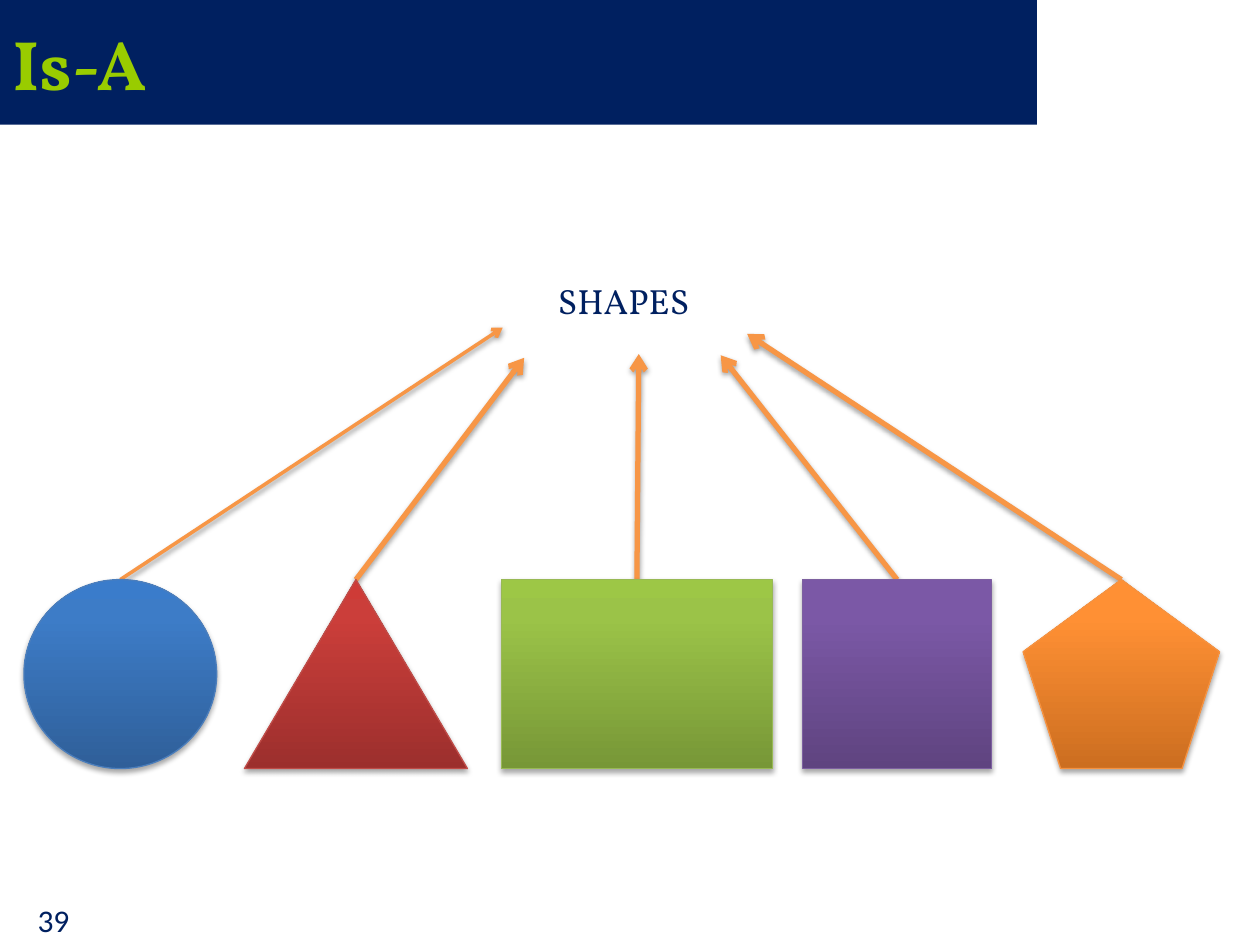
from pptx import Presentation
from pptx.dml.color import RGBColor
from pptx.enum.shapes import MSO_CONNECTOR, MSO_SHAPE as Kind
from pptx.enum.text import MSO_ANCHOR, PP_ALIGN
from pptx.oxml import parse_xml
from pptx.oxml.ns import nsdecls
from pptx.util import Inches, Pt

NAVY, LIME, ORANGE = "002060", "99CC00", "F79646"
SERIF, SANS = "Vollkorn", "Calibri"
TOP, HIGH = 4.6, 1.5

# kind, left, width, line colour, gradient from bottom to top
SHAPES = [
    (Kind.OVAL, 0.19, 1.53, "4B7EBC", ("2F5F99", "3D7CC7", "3A7CCB")),
    (Kind.ISOSCELES_TRIANGLE, 1.94, 1.77, "BF4C48", ("9C2F2D", "CB3E3A", "CE3B37")),
    (Kind.RECTANGLE, 3.98, 2.15, "98B955", ("779737", "9BC348", "9DC746")),
    (Kind.RECTANGLE, 6.37, 1.5, "7D60A0", ("5F4480", "7B58A6", "7C57A8")),
    (Kind.REGULAR_PENTAGON, 8.12, 1.56, "F69240", ("CC6E20", "FF9034", "FF9136")),
]
STOPS = (0, 80, 100)
# arrow tip x, tip y, line width; each arrow rises from the shape below it
TIPS = [(3.99, 2.6, 2), (4.16, 2.84, 3), (5.07, 2.81, 3), (5.72, 2.82, 3), (5.93, 2.65, 3)]


def rgb(code):
    return RGBColor.from_string(code)


def xml(tag, attrs="", inner=""):
    return parse_xml(f"<a:{tag} {nsdecls('a')} {attrs}>{inner}</a:{tag}>")


def shade(props, dist, alpha):
    """Add a soft shadow that falls straight down."""
    props.append(xml("effectLst", inner=(
        f'<a:outerShdw blurRad="{Pt(3.1)}" dist="{Pt(dist)}" dir="5400000" rotWithShape="0">'
        f'<a:srgbClr val="000000"><a:alpha val="{alpha * 1000}"/></a:srgbClr></a:outerShdw>')))


def write(shape, text, size, font, color, bold=False):
    para = shape.text_frame.paragraphs[0]
    para.text = text
    para.alignment = PP_ALIGN.LEFT
    para.font.size, para.font.name, para.font.bold = Pt(size), font, bold
    para.font.color.rgb = rgb(color)


def label(slide, box, wrap, *style):
    shape = slide.shapes.add_textbox(*map(Inches, box))
    shape.text_frame.word_wrap = wrap
    write(shape, *style)


def add_title(slide):
    title = slide.shapes.title
    title.left, title.top, title.width, title.height = map(Inches, (0, 0, 8.23, 0.99))
    title.fill.solid()
    title.fill.fore_color.rgb = rgb(NAVY)
    title.text_frame.vertical_anchor = MSO_ANCHOR.MIDDLE
    write(title, "Is-A", 40, SERIF, LIME, True)


def add_arrow(group, start, tip, width):
    line = group.shapes.add_connector(MSO_CONNECTOR.STRAIGHT, *map(Inches, start + tip))
    line.line.color.rgb = rgb(ORANGE)
    line.line.width = Pt(width)
    props = line._element.spPr
    props.ln.append(xml("tailEnd", 'type="arrow"'))
    shade(props, 1.6, 38)


def add_figure(slide, kind, left, width, edge, colors):
    shape = slide.shapes.add_shape(kind, *map(Inches, (left, TOP, width, HIGH)))
    stops = "".join(f'<a:gs pos="{pos * 1000}"><a:srgbClr val="{color}"/></a:gs>'
                    for pos, color in zip(STOPS, colors))
    props = shape._element.spPr
    props.insert(2, xml("gradFill", 'rotWithShape="1"',
                        f'<a:gsLst>{stops}</a:gsLst><a:lin ang="16200000" scaled="0"/>'))
    shape.line.color.rgb = rgb(edge)
    shape.line.width = Pt(0.75)
    shade(props, 1.8, 35)


def main():
    deck = Presentation()
    deck.slide_width, deck.slide_height = Inches(10), Inches(7.5)
    slide = deck.slides.add_slide(deck.slide_layouts[5])
    add_title(slide)
    group = slide.shapes.add_group_shape()
    for (_, left, width, *_), (x, y, weight) in zip(SHAPES, TIPS):
        add_arrow(group, (left + width / 2, TOP), (x, y), weight)
    for figure in SHAPES:
        add_figure(slide, *figure)
    label(slide, (4.33, 2.17, 1.33, 0.44), False, "SHAPES", 20, SERIF, NAVY)
    label(slide, (0.2, 7.1, 0.63, 0.4), True, "39", 18, SANS, NAVY)
    deck.save("out.pptx")


if __name__ == "__main__":
    main()
